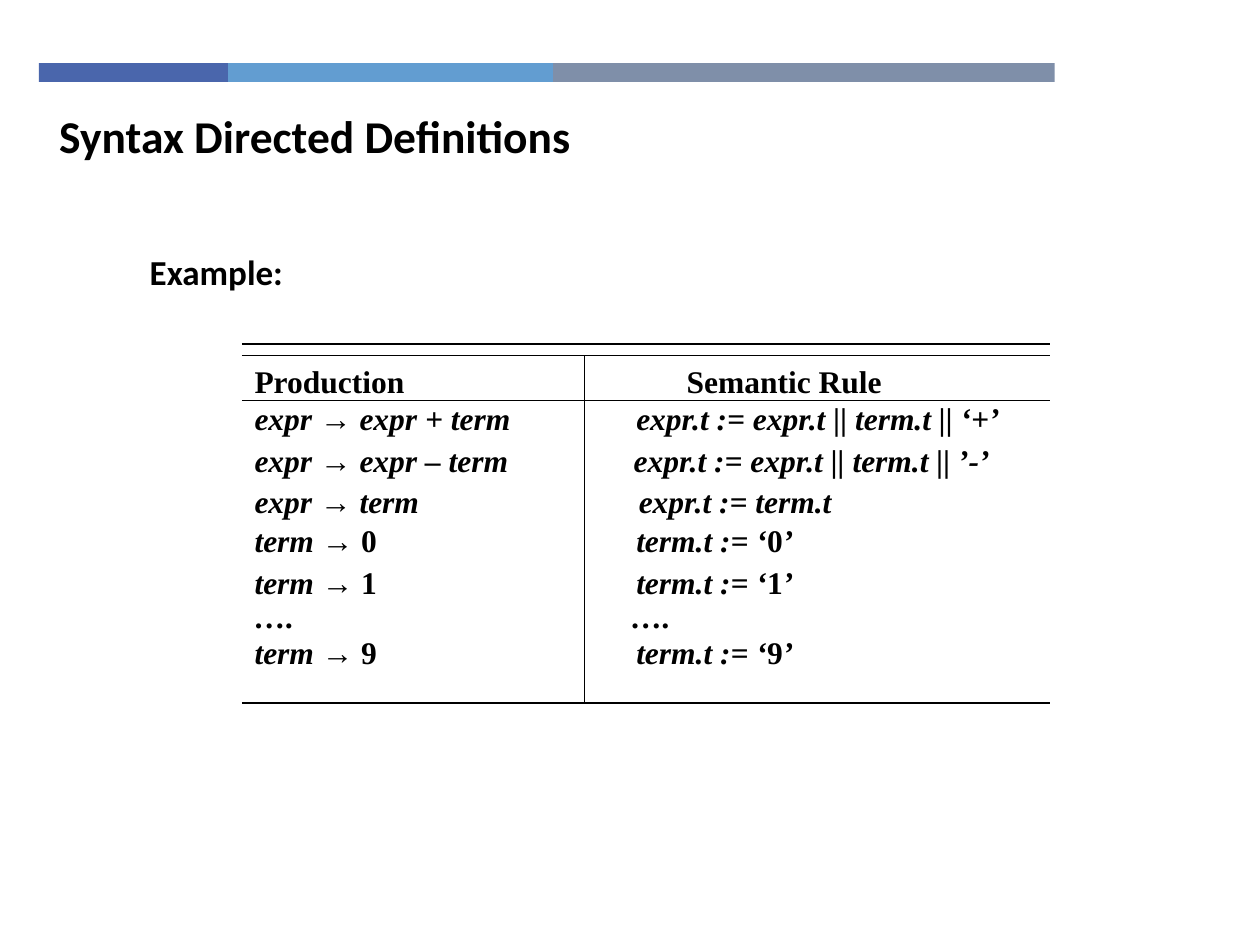
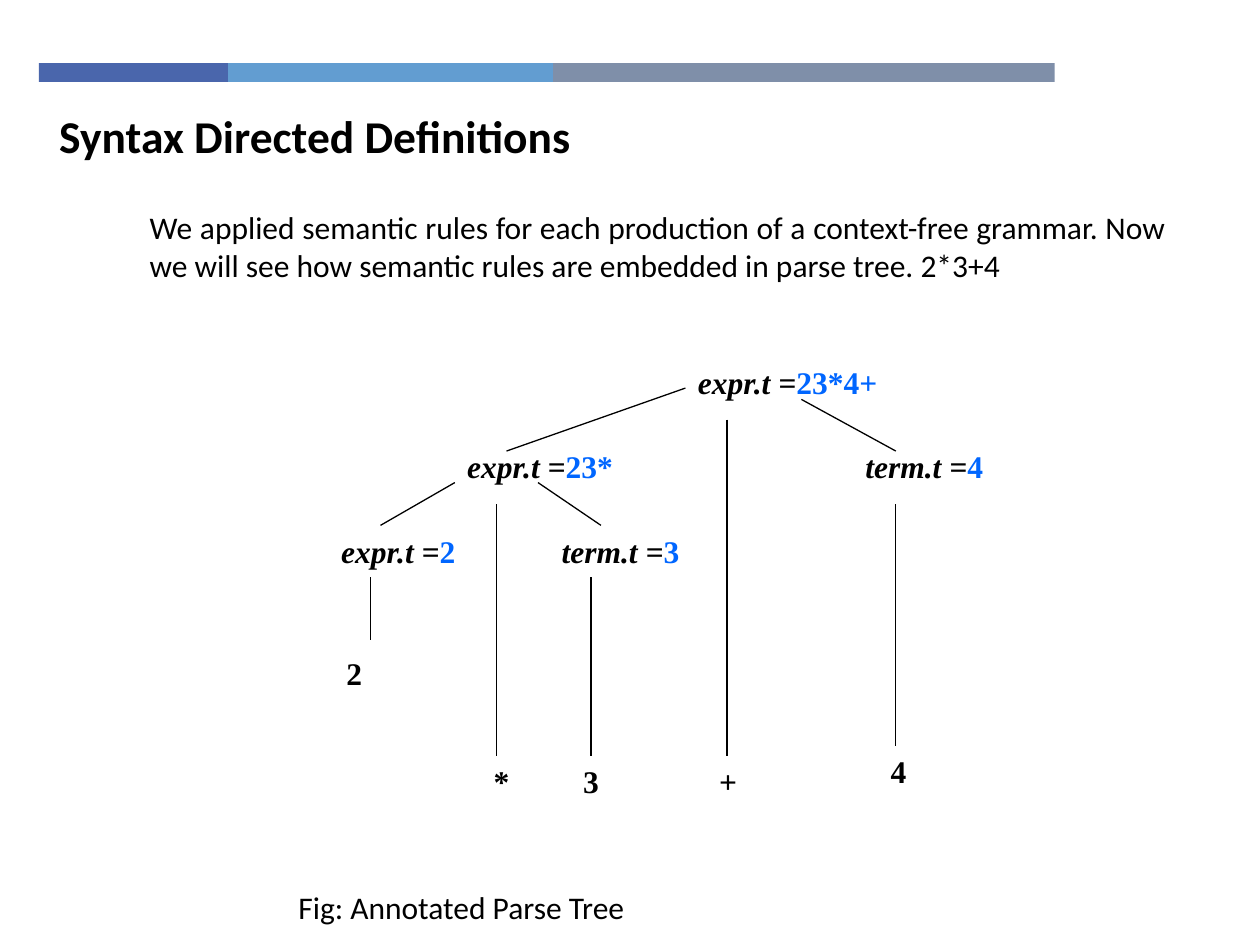
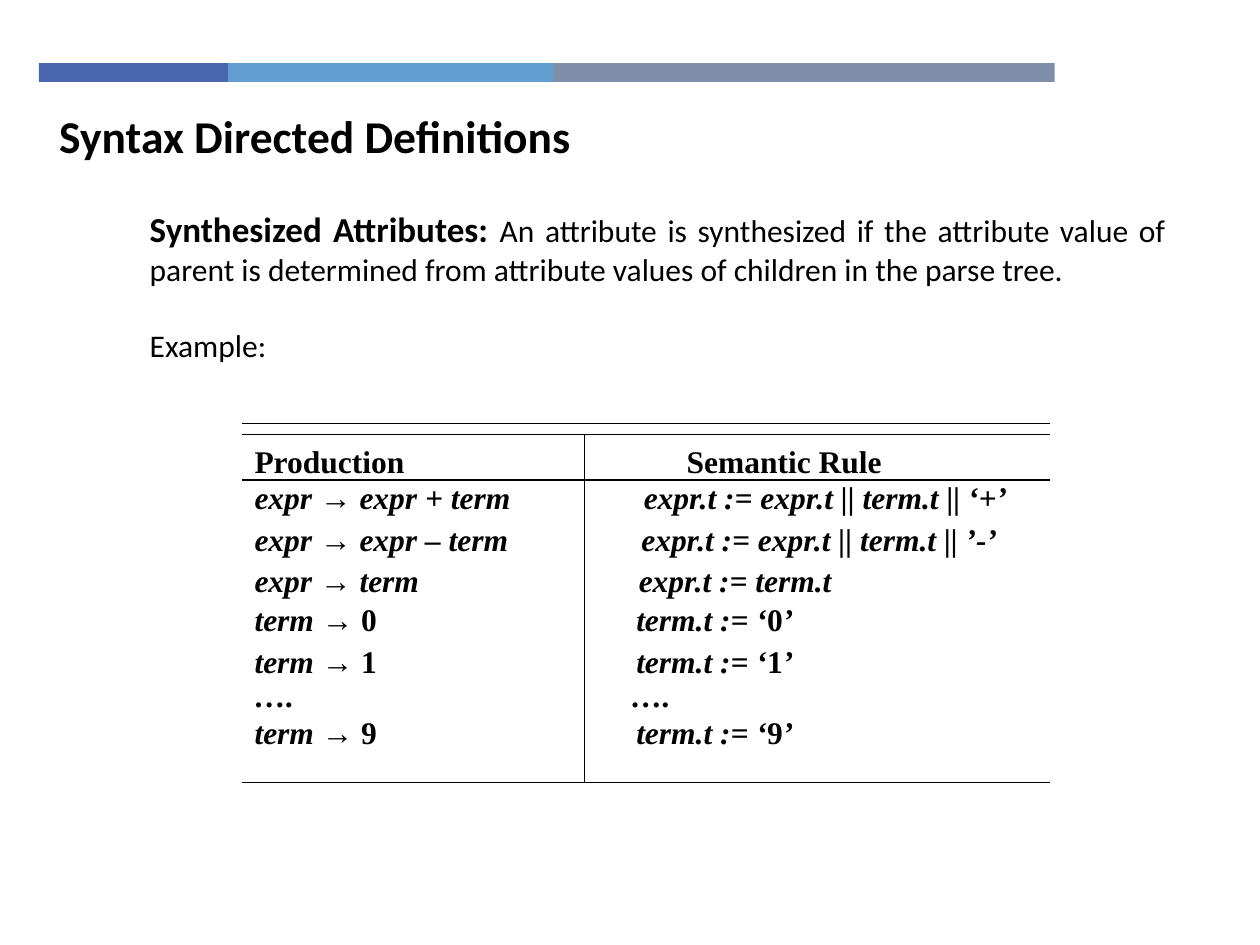
from lxml import etree
from pptx import Presentation
from pptx.dml.color import RGBColor
from pptx.enum.shapes import MSO_CONNECTOR, MSO_SHAPE
from pptx.enum.text import MSO_ANCHOR, MSO_AUTO_SIZE, PP_ALIGN
from pptx.oxml.ns import qn
from pptx.util import Pt

STRAIGHT = MSO_CONNECTOR.STRAIGHT
RECT = MSO_SHAPE.RECTANGLE
BOTTOM, MIDDLE = MSO_ANCHOR.BOTTOM, MSO_ANCHOR.MIDDLE
NO_FIT = MSO_AUTO_SIZE.NONE
LEFT, JUSTIFY = PP_ALIGN.LEFT, PP_ALIGN.JUSTIFY

EMU_PER_PX = 9144  # 100 px to the inch
COLORS = {
    "text": "000000",
    "value": "0066FF",
    "navy": "4A66AC",
    "sky": "629DD1",
    "slate": "7F8FA9",
}
SANS, SERIF = "Calibri", "Times New Roman"
TITLE = "Syntax Directed Definitions"
TITLE_ONLY = 5
BANDS = [(150, "navy"), (258, "sky"), (398, "slate")]
BODY_LEFT, BODY_TOP, BODY_WIDTH = 109, 160, 826

# Production, semantic rule, indent of the rule, row height; "_" toggles italic
GRAMMAR = [
    ("_Production", "_Semantic Rule", 81, 36),
    ("expr _→_ expr + term", "expr.t := expr.t || term.t || ‘+’", 41, 29),
    ("expr _→_ expr – term", "expr.t := expr.t || term.t || ’-’", 39, 33),
    ("expr _→_ term", "expr.t := term.t", 43, 33),
    ("term _→ 0", "term.t := ‘_0_’", 41, 31),
    ("term _→ 1", "term.t := ‘_1_’", 41, 33),
    ("….", "….", 37, 27),
    ("term _→ 9", "term.t := ‘_9_’", 41, 54),
]
GRAMMAR_LEFT, GRAMMAR_COLUMNS = 192, (272, 369)
GRAMMAR_FOOT = 25
DOUBLE_RULE_GAP = 9

# Label, value, left, top, width
TREE_NODES = [
    ("expr.t =", "23*4+", 544, 283, 175),
    ("expr.t =", "23*", 361, 350, 150),
    ("term.t =", "4", 677, 350, 150),
    ("expr.t =", "2", 261, 417, 150),
    ("term.t =", "3", 436, 417, 150),
]
TREE_LEAVES = [
    ("2", 265, 514),
    ("*", 382, 600),
    ("3", 453, 600),
    ("+", 561, 600),
    ("4", 697, 592),
]
TREE_BRANCHES = [
    (544, 308, 402, 358),
    (636, 317, 711, 358),
    (361, 383, 302, 417),
    (427, 383, 477, 417),
    (294, 458, 294, 508),
    (394, 400, 394, 600),
    (469, 458, 469, 600),
    (577, 333, 577, 600),
    (711, 400, 711, 592),
]
NODE_HEIGHT, LEAF_WIDTH = 40, 75


def px(*lengths):
    emu = [n * EMU_PER_PX for n in lengths]
    return emu if len(emu) > 1 else emu[0]


def rgb(name):
    return RGBColor.from_string(COLORS[name])


class Deck:
    def __init__(self):
        self.prs = Presentation()
        self.prs.slide_width, self.prs.slide_height = px(1000, 750)
        self.slide = None

    def new_slide(self):
        """Start a slide with the colour bands and the shared title."""
        self.slide = self.prs.slides.add_slide(self.prs.slide_layouts[TITLE_ONLY])
        left = 31
        for width, color in BANDS:
            self.band(left, width, color)
            left += width
        sp = self.slide.shapes.title
        sp.left, sp.top, sp.width, sp.height = px(37, 80, 716, 54)
        tf = sp.text_frame
        tf.auto_size = NO_FIT
        tf.vertical_anchor = MIDDLE
        p = tf.paragraphs[0]
        p.alignment = LEFT
        self.run(p, TITLE, size=26, bold=True)

    def band(self, left, width, color):
        sp = self.slide.shapes.add_shape(RECT, *px(left, 50, width, 15))
        sp.shadow.inherit = False
        sp.fill.solid()
        sp.fill.fore_color.rgb = rgb(color)
        sp.line.fill.background()

    def run(self, p, text, size=18, bold=False, italic=False, font=SANS, color="text"):
        r = p.add_run()
        r.text = text
        f = r.font
        f.name, f.size, f.bold, f.italic = font, Pt(size), bold, italic
        f.color.rgb = rgb(color)

    def textbox(self, left, top, width, height):
        """Add a wrapping text box and return its text frame."""
        tf = self.slide.shapes.add_textbox(*px(left, top, width, height)).text_frame
        tf.word_wrap = True
        return tf

    def line(self, x1, y1, x2, y2):
        cn = self.slide.shapes.add_connector(STRAIGHT, *px(x1, y1, x2, y2))
        cn.line.color.rgb = rgb("text")
        cn.line.width = Pt(0.75)
        etree.SubElement(cn._element.spPr, qn("a:effectLst"))

    def cell(self, cell, text, indent, foot):
        tc_pr = cell._tc.get_or_add_tcPr()
        for side in "LRTB":
            ln = etree.SubElement(tc_pr, qn(f"a:ln{side}"))
            etree.SubElement(ln, qn("a:noFill"))
        cell.fill.background()
        cell.vertical_anchor = BOTTOM
        cell.margin_left, cell.margin_right = px(indent, 0)
        cell.margin_top, cell.margin_bottom = px(0, foot)
        p = cell.text_frame.paragraphs[0]
        p.line_spacing = Pt(16)
        for i, part in enumerate(text.split("_")):
            if part:
                self.run(p, part, bold=True, italic=i % 2 == 0, font=SERIF)

    def grammar_table(self, top, long_rule_shift=0):
        """Add the ruled grammar; the two longest rules may be shifted right."""
        width, height = sum(GRAMMAR_COLUMNS), sum(row[-1] for row in GRAMMAR)
        table = self.slide.shapes.add_table(
            len(GRAMMAR), 2, *px(GRAMMAR_LEFT, top, width, height)).table
        table.first_row = table.horz_banding = False
        for column, column_width in zip(table.columns, GRAMMAR_COLUMNS):
            column.width = px(column_width)
        for i, (production, rule, indent, row_height) in enumerate(GRAMMAR):
            table.rows[i].height = px(row_height)
            foot = GRAMMAR_FOOT if i == len(GRAMMAR) - 1 else 0
            shift = long_rule_shift if i in (1, 2) else 0
            self.cell(table.cell(i, 0), production, 10, foot)
            self.cell(table.cell(i, 1), rule, indent + shift, foot)
        for offset in (-DOUBLE_RULE_GAP, 0, GRAMMAR[0][-1], height):
            y = top + offset
            self.line(GRAMMAR_LEFT, y, GRAMMAR_LEFT + width, y)
        divider = GRAMMAR_LEFT + GRAMMAR_COLUMNS[0]
        self.line(divider, top, divider, top + height)

    def tree(self):
        for branch in TREE_BRANCHES:
            self.line(*branch)
        for label, value, left, top, width in TREE_NODES:
            p = self.textbox(left, top, width, NODE_HEIGHT).paragraphs[0]
            self.run(p, label, bold=True, italic=True, font=SERIF)
            self.run(p, value, bold=True, font=SERIF, color="value")
        for token, left, top in TREE_LEAVES:
            p = self.textbox(left, top, LEAF_WIDTH, NODE_HEIGHT).paragraphs[0]
            self.run(p, token, bold=True, font=SERIF)


def grammar_slide(deck):
    deck.new_slide()
    p = deck.textbox(BODY_LEFT, 194, BODY_WIDTH, 44).paragraphs[0]
    deck.run(p, "Example:", size=20, bold=True)
    deck.grammar_table(282)


def parse_tree_slide(deck):
    deck.new_slide()
    p = deck.textbox(BODY_LEFT, BODY_TOP, BODY_WIDTH, 71).paragraphs[0]
    p.alignment = JUSTIFY
    deck.run(p, "We applied semantic rules for each production of a context-free "
                "grammar. Now we will see how semantic rules are embedded in "
                "parse tree. 2*3+4")
    deck.tree()
    p = deck.textbox(227, 700, 400, 40).paragraphs[0]
    deck.run(p, "Fig: Annotated Parse Tree")


def synthesized_slide(deck):
    deck.new_slide()
    tf = deck.textbox(BODY_LEFT, BODY_TOP, BODY_WIDTH, 136)
    p = tf.paragraphs[0]
    p.alignment = JUSTIFY
    deck.run(p, "Synthesized Attributes: ", size=20, bold=True)
    deck.run(p, "An attribute is synthesized if the attribute value of parent is "
                "determined from attribute values of children in the parse tree.")
    p = tf.add_paragraph()
    p.alignment = JUSTIFY
    p.space_before = Pt(22)
    deck.run(p, "Example:")
    deck.grammar_table(345, long_rule_shift=6)


def main():
    deck = Deck()
    grammar_slide(deck)
    parse_tree_slide(deck)
    synthesized_slide(deck)
    deck.prs.save("out.pptx")


if __name__ == "__main__":
    main()
